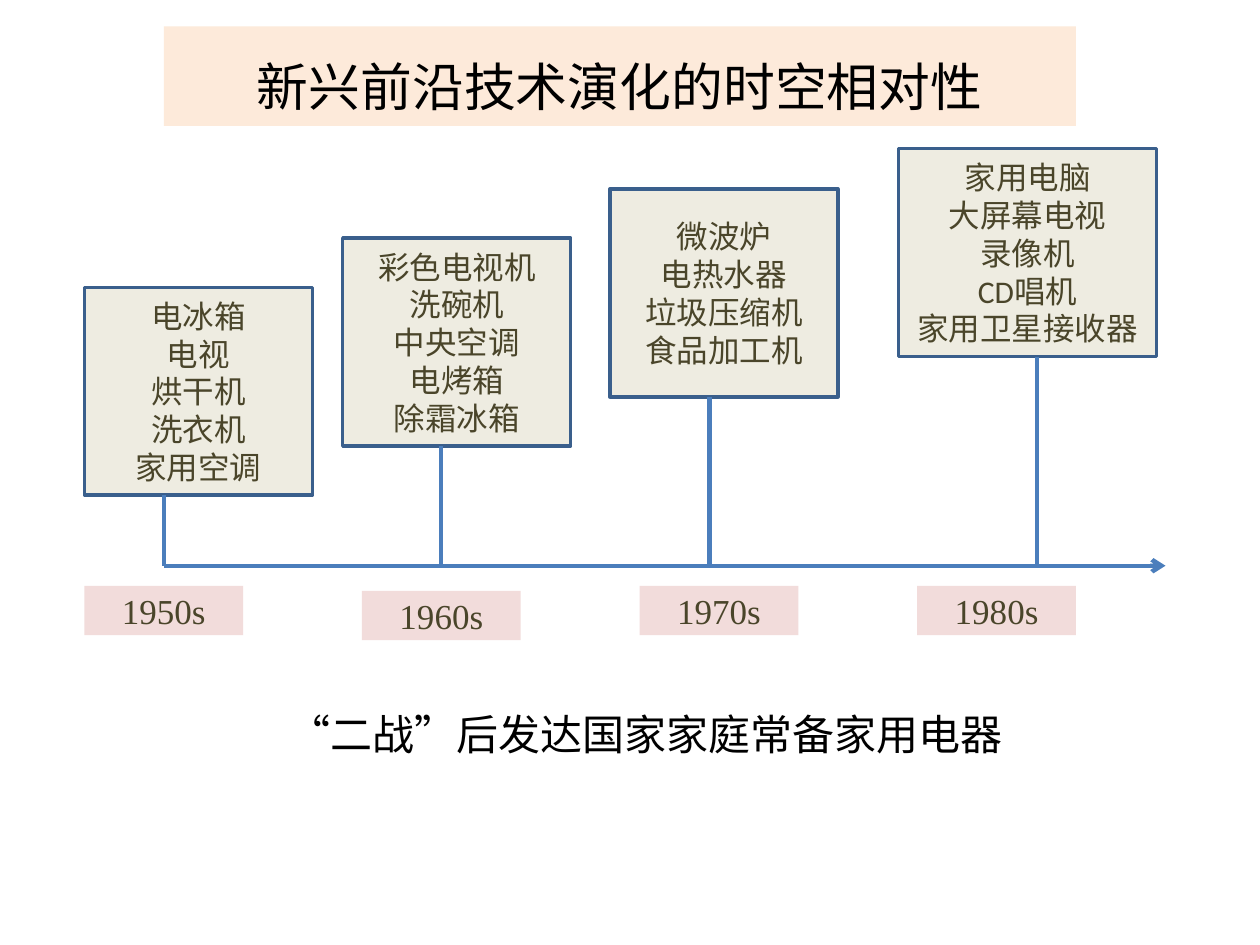
from lxml.etree import SubElement
from pptx import Presentation
from pptx.dml.color import RGBColor
from pptx.enum.shapes import MSO_CONNECTOR as Connector, MSO_SHAPE as Shape
from pptx.enum.text import MSO_ANCHOR as Anchor, PP_ALIGN as Align
from pptx.oxml.ns import qn
from pptx.util import Inches, Pt

AXIS_Y = 4.49
AXIS_START, AXIS_END = 1.3, 9.25
BOX_HEIGHT = 1.65
LABEL_LEFT, LABEL_STEP = 0.67, 2.2033
BROWN, BLACK = "4A452A", "000000"

# Each decade: label, label top, box left, box top, box width, stem x, appliances
DECADES = [
    ("1950s", 4.65, 0.67, 2.28, 1.81, 1.3,
     ["电冰箱", "电视", "烘干机", "洗衣机", "家用空调"]),
    ("1960s", 4.69, 2.72, 1.89, 1.81, 3.5,
     ["彩色电视机", "洗碗机", "中央空调", "电烤箱", "除霜冰箱"]),
    ("1970s", 4.65, 4.84, 1.5, 1.81, 5.63,
     ["微波炉", "电热水器", "垃圾压缩机", "食品加工机"]),
    ("1980s", 4.65, 7.13, 1.18, 2.05, 8.23,
     ["家用电脑", "大屏幕电视", "录像机", "CD唱机", "家用卫星接收器"]),
]


def color(hex_code):
    """Turn a hex string into a colour."""
    return RGBColor.from_string(hex_code)


def write_text(shape, lines, size, font, hex_code):
    """Write centred lines into a shape and format their runs."""
    frame = shape.text_frame
    frame.word_wrap = True
    frame.vertical_anchor = Anchor.MIDDLE
    frame.text = "\n".join(lines)
    for paragraph in frame.paragraphs:
        paragraph.alignment = Align.CENTER
        for run in paragraph.runs:
            run.font.size = Pt(size)
            run.font.name = font
            run.font.color.rgb = color(hex_code)


def add_box(slide, left, top, width, height, fill, outline=None):
    """Add a flat rectangle, outlined when a line colour is given."""
    box = slide.shapes.add_shape(
        Shape.RECTANGLE, Inches(left), Inches(top), Inches(width), Inches(height))
    box.shadow.inherit = False
    box.fill.solid()
    box.fill.fore_color.rgb = color(fill)
    if outline:
        box.line.color.rgb = color(outline)
        box.line.width = Pt(2)
    else:
        box.line.fill.background()
    return box


def add_line(slide, start, end, arrow=False):
    """Add a straight timeline line, with an arrowhead at its end on request."""
    line = slide.shapes.add_connector(
        Connector.STRAIGHT, *(Inches(value) for value in (*start, *end)))
    line.line.color.rgb = color("4B7EBC")
    line.line.width = Pt(2.5)
    if arrow:
        SubElement(line.line._get_or_add_ln(), qn("a:tailEnd"), type="arrow")
    SubElement(line._element.spPr, qn("a:effectLst"))


def add_heading(slide):
    """Add the heading band at the top."""
    heading = add_box(slide, 1.3, 0.21, 7.24, 0.79, "FDEADA")
    write_text(heading, ["新兴前沿技术演化的时空相对性"], 29.6, "Times New Roman", BLACK)
    heading.text_frame.paragraphs[0].line_spacing = 1.3


def add_caption(slide):
    """Add the caption below the timeline."""
    caption = slide.shapes.add_textbox(
        Inches(0.67), Inches(5.32), Inches(8.9), Inches(1.01))
    write_text(caption, ["“二战”后发达国家家庭常备家用电器"], 24, "Arial", BLACK)


def add_decade(slide, index, decade):
    """Add one decade's appliance box, stem and label."""
    label, label_top, left, top, width, stem_x, appliances = decade
    box = add_box(slide, left, top, width, BOX_HEIGHT, "EEECE1", "3A5F8C")
    write_text(box, appliances, 18, "Calibri", BROWN)
    add_line(slide, (stem_x, AXIS_Y), (stem_x, top + BOX_HEIGHT))
    tag = add_box(slide, LABEL_LEFT + index * LABEL_STEP, label_top, 1.26, 0.39, "F2DCDB")
    write_text(tag, [label], 20, "Times New Roman", BROWN)


def main():
    """Build the timeline slide and save it."""
    presentation = Presentation()
    presentation.slide_width = Inches(10)
    presentation.slide_height = Inches(7.5)
    slide = presentation.slides.add_slide(presentation.slide_layouts[6])
    add_caption(slide)
    add_line(slide, (AXIS_START, AXIS_Y), (AXIS_END, AXIS_Y), arrow=True)
    for index, decade in enumerate(DECADES):
        add_decade(slide, index, decade)
    add_heading(slide)
    presentation.save("out.pptx")


if __name__ == "__main__":
    main()
